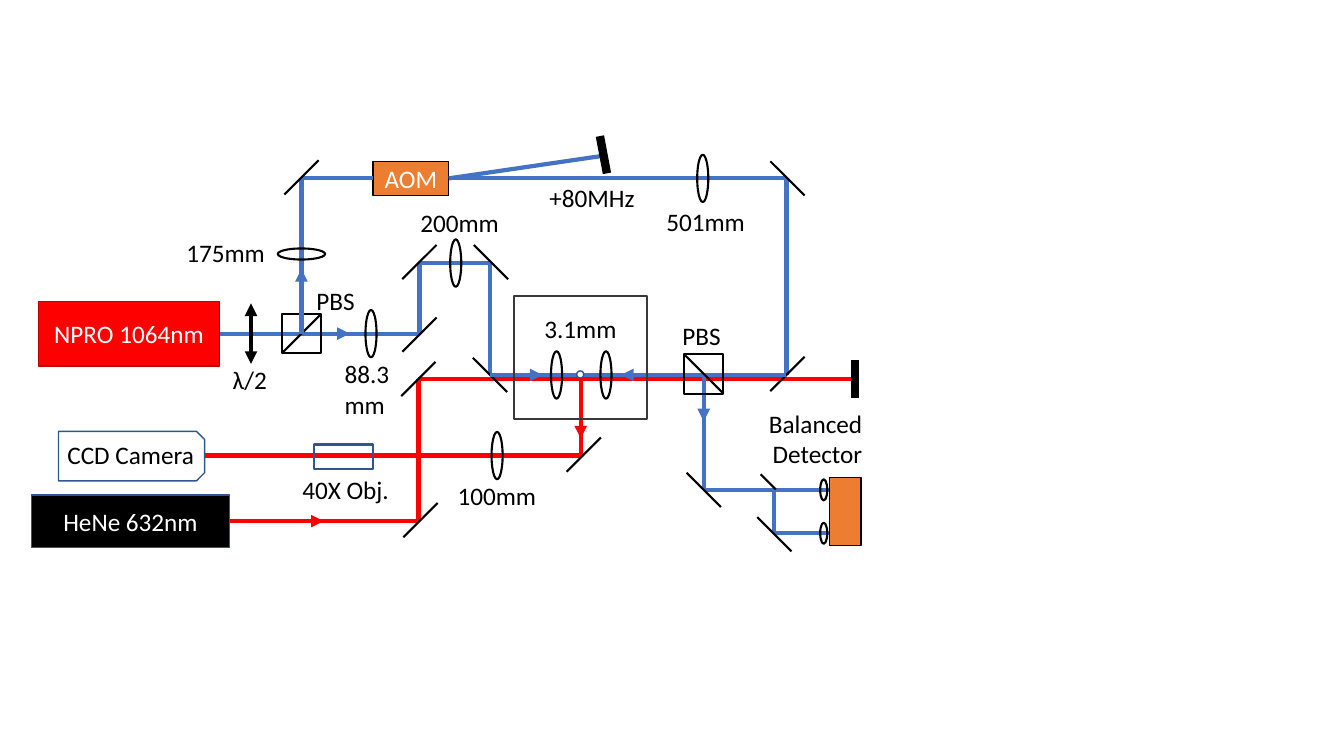
from lxml.etree import SubElement
from pptx import Presentation
from pptx.dml.color import RGBColor
from pptx.enum.shapes import MSO_CONNECTOR, MSO_SHAPE
from pptx.enum.text import MSO_ANCHOR, MSO_AUTO_SIZE, PP_ALIGN
from pptx.oxml.ns import qn
from pptx.util import Inches, Pt

COLORS = {
    "black": "000000", "white": "FFFFFF", "infrared": "4472C4",
    "red": "FF0000", "dark_red": "C00000", "orange": "ED7D31",
    "navy": "325491", "gray": "3B3838",
}
FONT = {"name": "Calibri", "size": Pt(18)}
TOP, LEFT, BOTTOM, RIGHT = range(4)


def rgb(name):
    return RGBColor.from_string(COLORS[name])


# ---- Basic parts ----
def write(tf, lines, color, align):
    for i, line in enumerate(lines.split("\n")):
        p = tf.paragraphs[0] if i == 0 else tf.add_paragraph()
        p.alignment = align
        r = p.add_run()
        r.text = line
        r.font.color.rgb = rgb(color)
        for key, value in FONT.items():
            setattr(r.font, key, value)


def label(s, x, y, w, text, h=0.4, align=PP_ALIGN.LEFT):
    tf = s.shapes.add_textbox(Inches(x), Inches(y), Inches(w), Inches(h)).text_frame
    tf.word_wrap = True
    tf.auto_size = MSO_AUTO_SIZE.SHAPE_TO_FIT_TEXT
    write(tf, text, "black", align)


def block(s, x, y, w, h, line="black", fill=None, text="", width=1.0,
          kind=MSO_SHAPE.RECTANGLE):
    sp = s.shapes.add_shape(kind, Inches(x), Inches(y), Inches(w), Inches(h))
    sp.shadow.inherit = False
    sp.line.color.rgb = rgb(line)
    sp.line.width = Pt(width)
    if fill:
        sp.fill.solid()
        sp.fill.fore_color.rgb = rgb(fill)
    else:
        sp.fill.background()
    if text:
        sp.text_frame.vertical_anchor = MSO_ANCHOR.MIDDLE
        write(sp.text_frame, text, "white", PP_ALIGN.CENTER)
    return sp


def line(s, start, end, color="black", width=1.5, heads=(), source=None, target=None):
    c = s.shapes.add_connector(MSO_CONNECTOR.STRAIGHT,
                               *(Inches(v) for v in (*start, *end)))
    if source:
        c.begin_connect(*source)
    if target:
        c.end_connect(*target)
    c.line.color.rgb = rgb(color)
    c.line.width = Pt(width)
    spPr = c.element.spPr
    for head in heads:
        SubElement(spPr.find(qn("a:ln")), qn("a:" + head), type="triangle")
    SubElement(spPr, qn("a:effectLst"))


def beam(s, color, *points):
    for start, end in zip(points, points[1:]):
        line(s, start, end, color, 3)


def arrow(s, color, start, end):
    line(s, start, end, color, 3, ["tailEnd"])


# ---- Optics, placed by their centres ----
def mirror(s, x, y, rising=True, size=0.34):
    dx, dy = size / 2, size / 2 if rising else -size / 2
    line(s, (x - dx, y + dy), (x + dx, y - dy))


def lens(s, x, y, w=0.11, h=0.47):
    block(s, x - w / 2, y - h / 2, w, h, width=1.5, kind=MSO_SHAPE.OVAL)


def splitter(s, x, y, rising=True, size=0.39):
    block(s, x - size / 2, y - size / 2, size, size, width=1.5)
    mirror(s, x, y, rising, size)


# ---- Regions: x, y, w, h is the box spanned by the beam path ----
def hene_arm(s, x, y, w, h):
    turn = x + 1.87
    laser = block(s, x - 1.97, y + h - 0.26, 1.97, 0.52, "navy", "black", "HeNe 632nm")
    line(s, (x, y + h), (turn, y + h), "red", 3, source=(laser, RIGHT))
    beam(s, "red", (turn, y + h), (turn, y), (x + w, y))
    arrow(s, "red", (x + 0.31, y + h), (x + 0.93, y + h))
    mirror(s, turn + 0.02, y + h - 0.01)
    mirror(s, turn, y)
    line(s, (x + w, y - 0.19), (x + w, y + 0.19), width=6)


def camera_arm(s, x, y, w, h):
    camera = block(s, x - 0.97, y + h - 0.72, 0.49, 1.45, "navy",
                   kind=MSO_SHAPE.SNIP_2_SAME_RECTANGLE)
    camera.rotation = 90
    label(s, x - 1.46, y + h - 0.21, 1.51, "CCD Camera")
    beam(s, "red", (x, y + h), (x + w, y + h), (x + w, y))
    arrow(s, "red", (x + w, y), (x + w, y + 0.63))
    mirror(s, x + w + 0.03, y + h - 0.01)
    block(s, x + 1.08, y + h - 0.11, 0.59, 0.24, "navy", width=1.5)
    label(s, x + 0.87, y + h + 0.14, 1.14, "40X Obj.")
    lens(s, x + 2.9, y + h)
    label(s, x + 2.41, y + h + 0.2, 1.14, "100mm")


def laser_arm(s, x, y, w, h):
    axis, split = y + h / 2, x + 2.61
    laser = block(s, x, y, 1.8, h, "dark_red", "red", "NPRO 1064nm")
    line(s, (x + 1.8, axis), (split, axis), "infrared", 3, source=(laser, RIGHT))
    beam(s, "infrared", (split, axis), (x + w, axis))
    arrow(s, "infrared", (split, axis), (split + 0.48, axis))
    line(s, (x + 2.11, axis - 0.3), (x + 2.11, axis + 0.3), width=3,
         heads=["headEnd", "tailEnd"])
    label(s, x + 1.83, axis + 0.26, 0.6, "λ/2")
    splitter(s, split, axis)
    label(s, split + 0.05, axis - 0.53, 0.6, "PBS")
    lens(s, x + 3.3, axis)
    label(s, x + 2.94, axis + 0.2, 1.07, "88.3\nmm", h=0.71)


def aom_arm(s, x, y, w, h):
    right, bottom, split = x + w, y + h, y + 1.54
    aom = block(s, x + 0.71, y - 0.17, 0.75, 0.34, fill="orange", text="AOM")
    beam(s, "infrared", (x, split), (x, y))
    arrow(s, "infrared", (x, split), (x, y + 0.9))
    line(s, (x, y), (x + 0.71, y), "infrared", 3, target=(aom, LEFT))
    for end in ((right, y), (x + 2.96, y - 0.22)):
        line(s, (x + 1.46, y), end, "infrared", 3, source=(aom, RIGHT))
    beam(s, "infrared", (right, y), (right, bottom))
    line(s, (x + 2.96, y - 0.42), (x + 3.03, y - 0.05), width=6)
    mirror(s, x, y - 0.01)
    mirror(s, right + 0.01, y, rising=False)
    mirror(s, right + 0.01, bottom - 0.01)
    lens(s, x, y + 0.75, 0.47, 0.11)
    lens(s, x + 3.98, y)
    label(s, x - 1.24, y + 0.54, 1.07, "175mm")
    label(s, x + 2.36, y - 0.01, 1.15, "+80MHz")
    label(s, x + 3.52, y + 0.23, 1.15, "501mm")


def relay_arm(s, x, y, w, h):
    right = x + w
    beam(s, "infrared", (x, y + 0.7), (x, y), (right, y), (right, y + h))
    mirror(s, x, y + 0.71)
    mirror(s, x, y - 0.01)
    mirror(s, right + 0.01, y - 0.01, rising=False)
    mirror(s, right, y + h, rising=False)
    lens(s, x + 0.36, y)
    label(s, x - 0.09, y - 0.6, 1.15, "200mm")


def trap_chamber(s, x, y, w, h):
    axis, bead = y + 0.78, x + w / 2
    beam(s, "infrared", (x - 0.24, axis), (x + w + 1.38, axis))
    block(s, x, y, w, h, "gray", width=1.5)
    for dx in (-0.24, 0.25):
        lens(s, bead + dx, axis)
    arrow(s, "infrared", (x + 0.09, axis), (x + 0.28, axis))
    arrow(s, "infrared", (x + w - 0.06, axis), (x + w - 0.26, axis))
    block(s, bead - 0.04, axis - 0.04, 0.07, 0.07, "navy", "white", kind=MSO_SHAPE.OVAL)
    label(s, x + 0.2, y + 0.12, 1.15, "3.1mm")


def detection_arm(s, x, y, w, h):
    upper, lower, pick, right = y + 1.14, y + h, x + 0.7, x + w
    beam(s, "infrared", (x, y), (x, upper), (right, upper))
    beam(s, "infrared", (pick, upper), (pick, lower), (right, lower))
    arrow(s, "infrared", (x, y), (x, y + 0.46))
    splitter(s, x, y - 0.01, rising=False)
    label(s, x - 0.31, y - 0.59, 0.6, "PBS")
    mirror(s, x, upper, rising=False)
    mirror(s, pick - 0.06, upper - 0.08, rising=False, size=0.15)
    mirror(s, pick, lower + 0.01, rising=False)
    for level in (upper, lower):
        lens(s, right - 0.06, level, 0.07, 0.21)
    block(s, right, upper - 0.12, 0.31, 0.67, fill="orange")
    label(s, x - 0.04, y + 0.28, 1.71, "Balanced Detector", 0.71, PP_ALIGN.RIGHT)


def main():
    prs = Presentation()
    prs.slide_width, prs.slide_height = Inches(13.33), Inches(7.5)
    s = prs.slides.add_slide(prs.slide_layouts[6])
    hene_arm(s, 2.28, 3.76, 6.2, 1.41)
    camera_arm(s, 2.03, 3.72, 3.73, 0.8)
    laser_arm(s, 0.38, 2.99, 3.78, 0.64)
    aom_arm(s, 2.99, 1.77, 4.81, 1.95)
    relay_arm(s, 4.16, 2.61, 0.7, 1.11)
    trap_chamber(s, 5.1, 2.94, 1.32, 1.22)
    detection_arm(s, 6.98, 3.72, 1.25, 1.57)
    prs.save("out.pptx")


if __name__ == "__main__":
    main()
